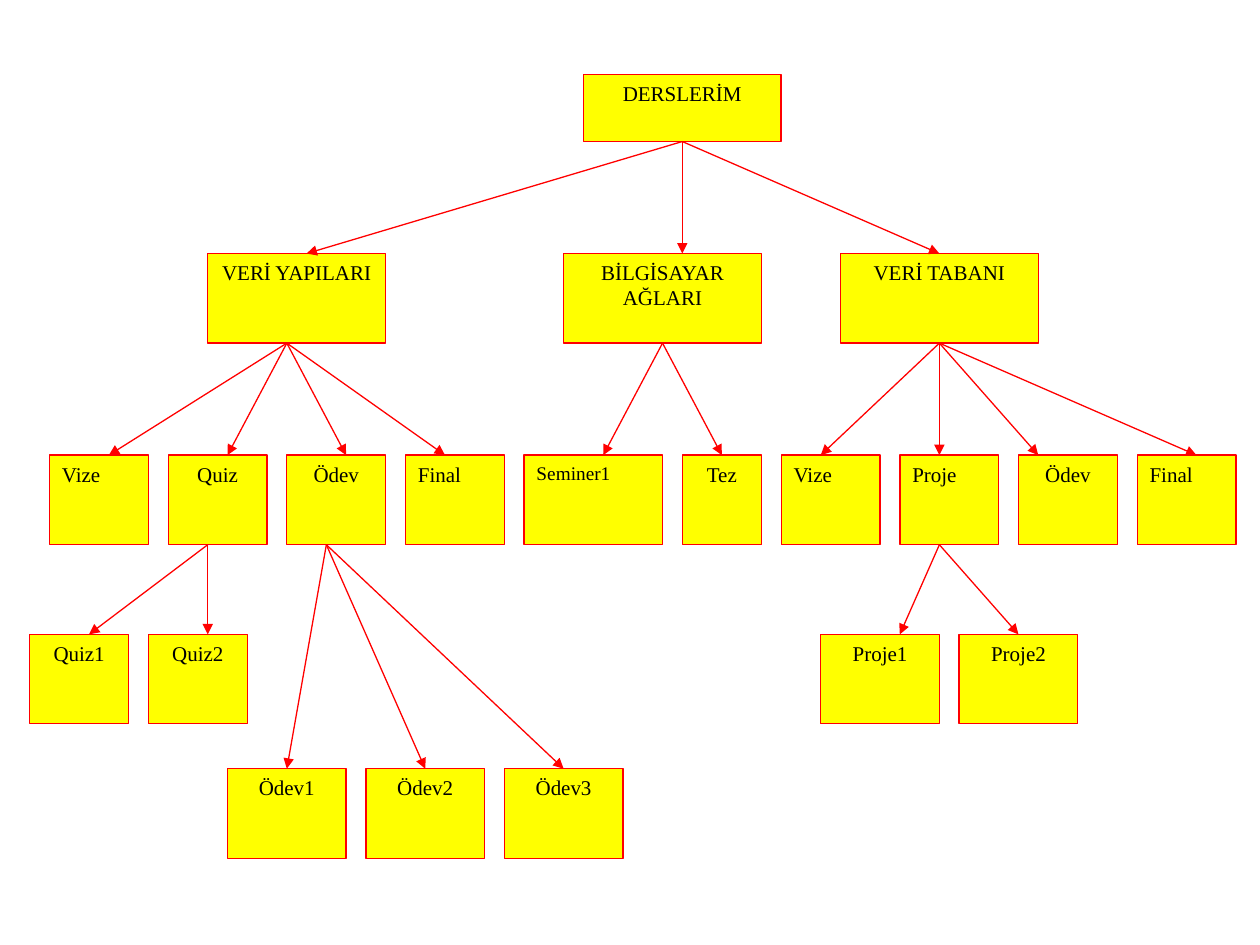
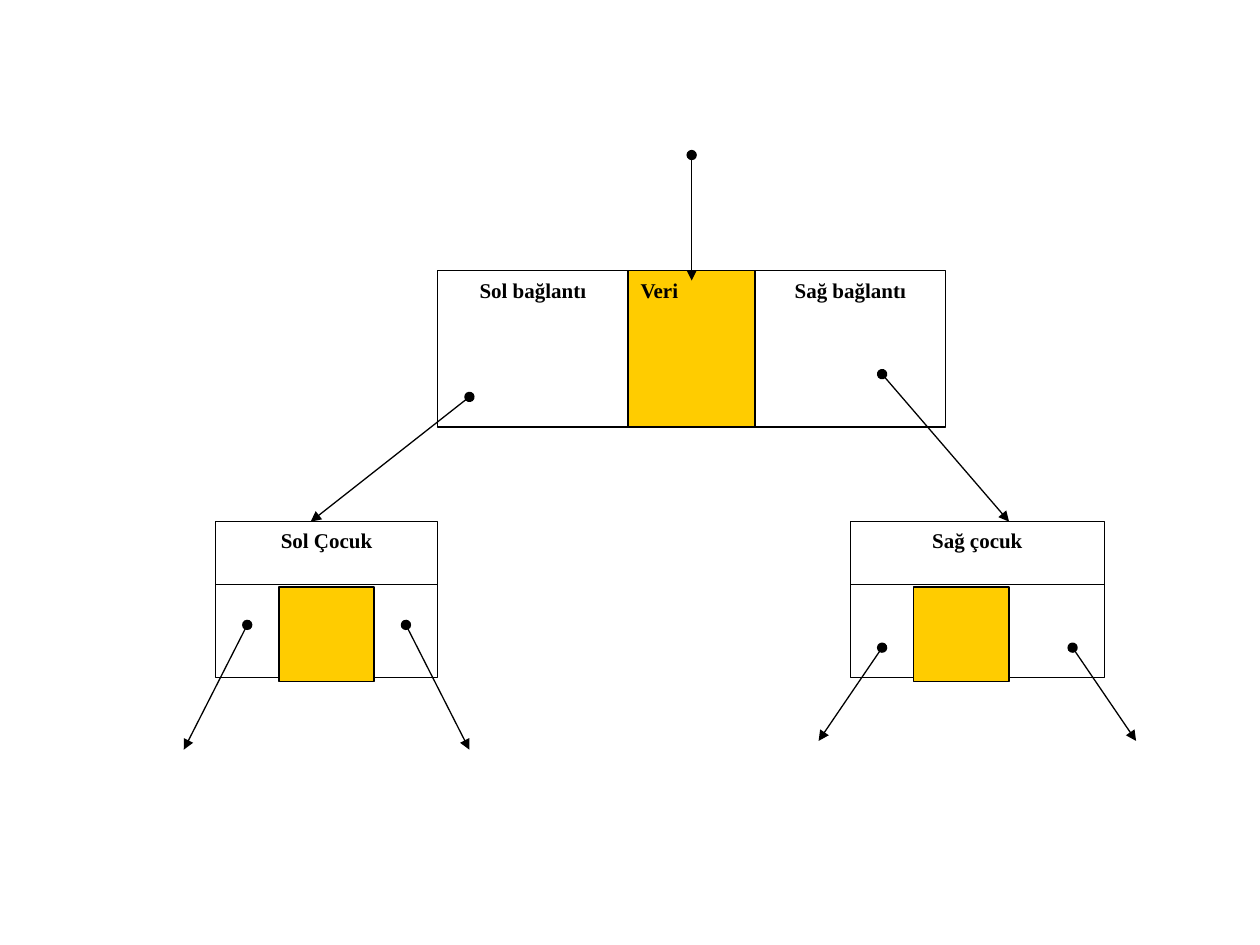
from lxml import etree
from pptx import Presentation
from pptx.dml.color import RGBColor
from pptx.enum import shapes, text
from pptx.oxml import ns
from pptx.util import Pt

FONT = "Times New Roman"
BLACK, WHITE, RED = "000000", "FFFFFF", "FF0000"
YELLOW, AMBER = "FFFF00", "FFCC00"
LINE_WIDTH = 0.75
CENTER, LEFT = text.PP_ALIGN.CENTER, text.PP_ALIGN.LEFT

# Course tree: grid columns and rows
TREE_LEFT, TREE_COLUMN = 17, 11.3
TREE_TOP, TREE_ROW = 42.5, 12.8
ROOT, COURSE, WORK, PART, HOMEWORK = 0, 8, 17, 25, 31
ROOT_HEIGHT, NODE_HEIGHT = 3, 4

# Row, height and nodes (label, column, columns wide, alignment)
TREE_LEVELS = [
    (ROOT, ROOT_HEIGHT, [("DERSLERİM", 28, 10, CENTER)]),
    (COURSE, NODE_HEIGHT, [
        ("VERİ YAPILARI", 9, 9, CENTER),
        ("BİLGİSAYAR AĞLARI", 27, 10, CENTER),
        ("VERİ TABANI", 41, 10, CENTER)]),
    (WORK, NODE_HEIGHT, [
        ("Vize", 1, 5, LEFT), ("Quiz", 7, 5, CENTER),
        ("Ödev", 13, 5, CENTER), ("Final", 19, 5, LEFT),
        ("Seminer1", 25, 7, LEFT), ("Tez", 33, 4, CENTER),
        ("Vize", 38, 5, LEFT), ("Proje", 44, 5, LEFT),
        ("Ödev", 50, 5, CENTER), ("Final", 56, 5, LEFT)]),
    (PART, NODE_HEIGHT, [
        ("Quiz1", 0, 5, CENTER), ("Quiz2", 6, 5, CENTER),
        ("Proje1", 40, 6, CENTER), ("Proje2", 47, 6, CENTER)]),
    (HOMEWORK, NODE_HEIGHT, [
        ("Ödev1", 10, 6, CENTER), ("Ödev2", 17, 6, CENTER),
        ("Ödev3", 24, 6, CENTER)]),
]

# Start column, start row, end row, end columns
TREE_BRANCHES = [
    (33, ROOT + ROOT_HEIGHT, COURSE, [14, 33, 46]),
    (13, COURSE + NODE_HEIGHT, WORK, [4, 10, 16, 21]),
    (32, COURSE + NODE_HEIGHT, WORK, [29, 35]),
    (46, COURSE + NODE_HEIGHT, WORK, [40, 46, 51, 59]),
    (9, WORK + NODE_HEIGHT, PART, [3, 9]),
    (15, WORK + NODE_HEIGHT, HOMEWORK, [13, 20, 27]),
    (46, WORK + NODE_HEIGHT, PART, [44, 50]),
]

# Binary node: grid columns and levels
NODE_LEFT, NODE_COLUMN = 105, 18.14
PARENT_TOP, CHILD_TOP, BOX_HEIGHT = 154.8, 298.1, 89.3
DIVIDER_TOP, DATA_TOP, DATA_HEIGHT = 334.1, 335.5, 54


def color(value):
    return RGBColor.from_string(value)


def add_box(slide, left, top, width, height, fill, line,
            label="", align=CENTER, size=12, bold=False):
    shape = slide.shapes.add_shape(shapes.MSO_SHAPE.RECTANGLE,
                                   Pt(left), Pt(top), Pt(width), Pt(height))
    shape.shadow.inherit = False
    shape.fill.solid()
    shape.fill.fore_color.rgb = color(fill)
    shape.line.color.rgb = color(line)
    shape.line.width = Pt(LINE_WIDTH)
    if label:
        frame = shape.text_frame
        frame.word_wrap = True
        frame.vertical_anchor = text.MSO_ANCHOR.TOP
        paragraph = frame.paragraphs[0]
        paragraph.text = label
        paragraph.alignment = align
        font = paragraph.font
        font.name, font.size, font.bold = FONT, Pt(size), bold
        font.color.rgb = color(BLACK)


def add_line(slide, start, end, line, head=None, tail=None):
    connector = slide.shapes.add_connector(
        shapes.MSO_CONNECTOR.STRAIGHT, *map(Pt, start + end))
    connector.line.color.rgb = color(line)
    connector.line.width = Pt(LINE_WIDTH)
    outline = connector.line._get_or_add_ln()
    for tag, kind in (("a:headEnd", head), ("a:tailEnd", tail)):
        if kind:
            etree.SubElement(outline, ns.qn(tag), type=kind)
    etree.SubElement(connector._element.spPr, ns.qn("a:effectLst"))


def tree_point(column, row):
    return TREE_LEFT + column * TREE_COLUMN, TREE_TOP + row * TREE_ROW


def node_x(column):
    return NODE_LEFT + column * NODE_COLUMN


def add_node_box(slide, column, columns, top, height, fill, label="", align=CENTER):
    add_box(slide, node_x(column), top, columns * NODE_COLUMN, height,
            fill, BLACK, label, align, bold=True)


def add_pointer(slide, start_column, start_y, end_column, end_y):
    add_line(slide, (node_x(start_column), start_y), (node_x(end_column), end_y),
             BLACK, head="oval", tail="triangle")


def add_child(slide, column, columns, label, pointer_y, end_y):
    add_node_box(slide, column, columns, CHILD_TOP, BOX_HEIGHT, WHITE, label)
    right = column + columns
    add_line(slide, (node_x(column), DIVIDER_TOP), (node_x(right), DIVIDER_TOP), BLACK)
    add_node_box(slide, column + 2, 3, DATA_TOP, DATA_HEIGHT, AMBER)
    add_pointer(slide, column + 1, pointer_y, column - 1, end_y)
    add_pointer(slide, right - 1, pointer_y, right + 1, end_y)


def build_course_tree(slide):
    for row, height, nodes in TREE_LEVELS:
        for label, column, columns, align in nodes:
            left, top = tree_point(column, row)
            add_box(slide, left, top, columns * TREE_COLUMN, height * TREE_ROW,
                    YELLOW, RED, label, align, size=11 if label == "Seminer1" else 12)
    for column, start_row, end_row, end_columns in TREE_BRANCHES:
        for end_column in end_columns:
            add_line(slide, tree_point(column, start_row),
                     tree_point(end_column, end_row), RED, tail="triangle")


def build_binary_node(slide):
    # Parent node with two links and its data
    for label, column, columns, fill, align in (
            ("Sol bağlantı", 8, 6, WHITE, CENTER),
            ("Veri", 14, 4, AMBER, LEFT),
            ("Sağ bağlantı", 18, 6, WHITE, CENTER)):
        add_node_box(slide, column, columns, PARENT_TOP, BOX_HEIGHT, fill, label, align)
    # Children
    add_child(slide, 1, 7, "Sol Çocuk", 357.1, 428.4)
    add_child(slide, 21, 8, "Sağ çocuk", 370.1, 423.4)
    # Pointers to the parent and to each child
    add_pointer(slide, 16, 88.6, 16, 160.3)
    add_pointer(slide, 9, 226.8, 4, CHILD_TOP)
    add_pointer(slide, 22, 213.8, 26, CHILD_TOP)


def main():
    presentation = Presentation()
    presentation.slide_width, presentation.slide_height = Pt(720), Pt(540)
    blank = presentation.slide_layouts[6]
    for build in (build_course_tree, build_binary_node):
        build(presentation.slides.add_slide(blank))
    presentation.save("out.pptx")


if __name__ == "__main__":
    main()
